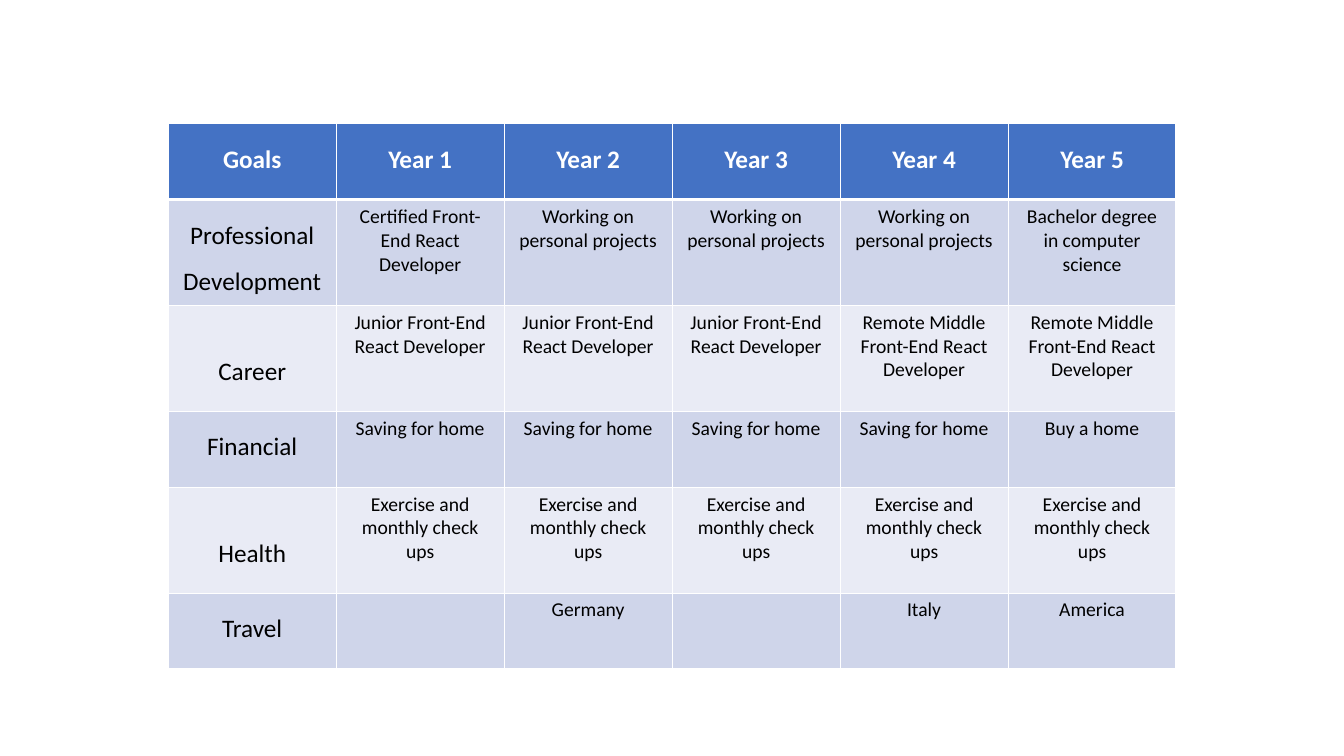
import pptx
import pptx.dml.color
import pptx.enum.text
import pptx.oxml.ns
import pptx.util
from lxml import etree
from pptx.util import Cm

COLORS = {
    "header": "4472C4",
    "odd_row": "CFD5EA",
    "even_row": "E9EBF5",
    "border": "FFFFFF",
    "header_text": "FFFFFF",
    "text": "000000",
}
FONT = "Calibri"

YEARS = ["Year 1", "Year 2", "Year 3", "Year 4", "Year 5"]
PROJECTS = "Working on personal projects"
JUNIOR = "Junior Front-End React Developer"
MIDDLE = "Remote Middle Front-End React Developer"
SAVING = "Saving for home"

# Goal, line spacing of the goal, row height in cm, one entry per year
GOALS = [
    ("Professional\nDevelopment", 1.5, 2.67,
     ["Certified Front-End React Developer"] + [PROJECTS] * 3
     + ["Bachelor degree in computer science"]),
    ("Career", 2.5, 2.67, [JUNIOR] * 3 + [MIDDLE] * 2),
    ("Financial", 1.5, 1.91, [SAVING] * 4 + ["Buy a home"]),
    ("Health", 2.5, 2.67, ["Exercise and monthly check ups"] * 5),
    ("Travel", 1.5, 1.91, ["", "Germany", "", "Italy", "America"]),
]
HEADER_HEIGHT = 1.91


def rgb(name):
    return pptx.dml.color.RGBColor.from_string(COLORS[name])


def write_text(text_frame, text, size=14, color="text", bold=False, spacing=None):
    """Write each line of text as a centred paragraph."""
    for index, line in enumerate(text.split("\n")):
        paragraph = text_frame.add_paragraph() if index else text_frame.paragraphs[0]
        paragraph.alignment = pptx.enum.text.PP_ALIGN.CENTER
        if spacing:
            paragraph.line_spacing = spacing
        if line:
            run = paragraph.add_run()
            run.text = line
            run.font.name = FONT
            run.font.size = pptx.util.Pt(size)
            run.font.bold = bold
            run.font.color.rgb = rgb(color)


def set_borders(cell, top=1, bottom=1):
    """Draw the four cell borders; widths are in points."""
    qn = pptx.oxml.ns.qn
    properties = cell._tc.get_or_add_tcPr()
    for side, width in (("L", 1), ("R", 1), ("T", top), ("B", bottom)):
        line = etree.SubElement(properties, qn(f"a:ln{side}"), w=str(pptx.util.Pt(width)))
        fill = etree.SubElement(line, qn("a:solidFill"))
        etree.SubElement(fill, qn("a:srgbClr"), val=COLORS["border"])


def fill_cell(cell, text, fill, top=1, bottom=1, **text_format):
    set_borders(cell, top, bottom)
    cell.fill.solid()
    cell.fill.fore_color.rgb = rgb(fill)
    write_text(cell.text_frame, text, **text_format)


def add_goals_table(slide, left, top, width):
    heights = [HEADER_HEIGHT] + [goal[2] for goal in GOALS]
    column_count = len(YEARS) + 1
    table = slide.shapes.add_table(
        len(heights), column_count, left, top, width, Cm(sum(heights))).table
    for column in table.columns:
        column.width = int(width / column_count)
    for row, height in zip(table.rows, heights):
        row.height = Cm(height)

    for column, title in enumerate(["Goals"] + YEARS):
        fill_cell(table.cell(0, column), title, "header", bottom=3,
                  size=18, color="header_text", bold=True, spacing=1.5)

    for row, (goal, spacing, _, plans) in enumerate(GOALS, start=1):
        fill = "odd_row" if row % 2 else "even_row"
        border_top = 3 if row == 1 else 1
        fill_cell(table.cell(row, 0), goal, fill, top=border_top,
                  size=18, spacing=spacing)
        for column, plan in enumerate(plans, start=1):
            fill_cell(table.cell(row, column), plan, fill, top=border_top)


def main():
    presentation = pptx.Presentation()
    presentation.slide_width = Cm(33.87)
    presentation.slide_height = Cm(19.05)
    slide = presentation.slides.add_slide(presentation.slide_layouts[6])
    add_goals_table(slide, Cm(4.24), Cm(3.12), Cm(25.4))
    presentation.save("out.pptx")


if __name__ == "__main__":
    main()
